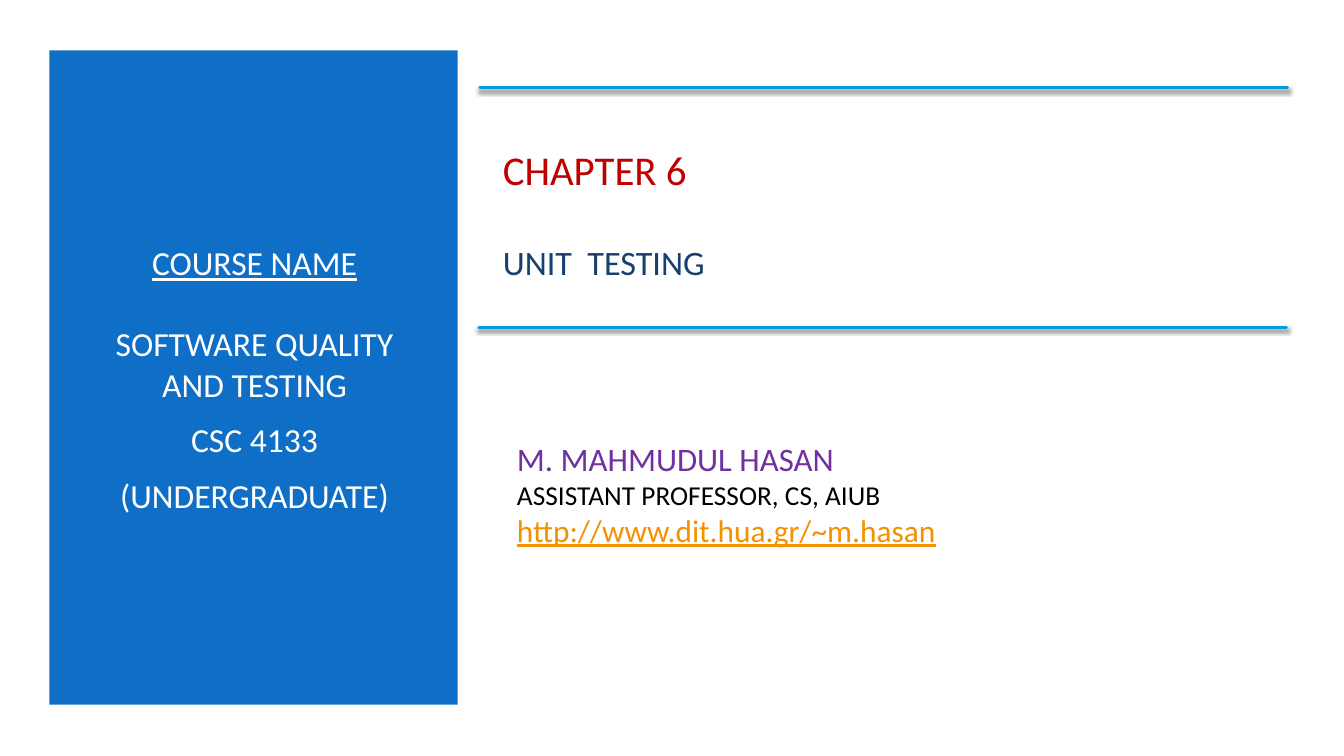
from dataclasses import dataclass

from lxml.etree import SubElement
from pptx import Presentation
from pptx.dml.color import RGBColor
from pptx.enum.shapes import MSO_CONNECTOR, MSO_SHAPE
from pptx.enum.text import MSO_ANCHOR, PP_ALIGN
from pptx.oxml.ns import qn
from pptx.util import Inches, Pt

WIDE, HIGH = Inches(13.33), Inches(7.5)
FONT = "Calibri"
WHITE, BLUE, CYAN = "FFFFFF", "0F6FC6", "009DD9"


@dataclass
class Box:
    """Left, top, width and height in percent of the slide."""
    left: float
    top: float
    width: float
    height: float = 0

    def place(self) -> tuple[int, int, int, int]:
        return (int(WIDE * self.left / 100), int(HIGH * self.top / 100),
                int(WIDE * self.width / 100), int(HIGH * self.height / 100))


@dataclass
class Line:
    text: str
    size: float
    color: str
    before: float = 0
    under: bool = False


@dataclass
class Block:
    box: Box
    lines: list[Line]
    align: PP_ALIGN = PP_ALIGN.LEFT


def paint(color: str) -> RGBColor:
    return RGBColor.from_string(color)


def add_panel(slide, box: Box, color: str) -> None:
    panel = slide.shapes.add_shape(MSO_SHAPE.RECTANGLE, *box.place())
    panel.shadow.inherit = False
    panel.fill.solid()
    panel.fill.fore_color.rgb = paint(color)
    panel.line.fill.background()


def add_block(slide, block: Block) -> None:
    frame = slide.shapes.add_textbox(*block.box.place()).text_frame
    frame.word_wrap = True
    frame.vertical_anchor = MSO_ANCHOR.MIDDLE
    frame.text = "\n".join(line.text for line in block.lines)
    for para, line in zip(frame.paragraphs, block.lines):
        para.alignment = block.align
        para.space_before = Pt(line.before)
        font = para.runs[0].font
        font.name, font.size = FONT, Pt(line.size)
        font.color.rgb = paint(line.color)
        font.underline = line.under


def add_rule(slide, box: Box) -> None:
    left, top, width, _ = box.place()
    rule = slide.shapes.add_connector(
        MSO_CONNECTOR.STRAIGHT, left, top, left + width, top)
    rule.line.color.rgb = paint(CYAN)
    rule.line.width = Pt(2)
    props = rule._element.spPr
    props.find(qn("a:ln")).set("cap", "rnd")
    # Soft shadow straight below the rule
    effect = SubElement(props, qn("a:effectLst"))
    shade = SubElement(effect, qn("a:outerShdw"), blurRad=str(Pt(3)),
                       dist=str(Pt(2)), dir="5400000", rotWithShape="0")
    tint = SubElement(shade, qn("a:srgbClr"), val="000000")
    SubElement(tint, qn("a:alpha"), val="55000")


PANEL = Box(3.68, 6.67, 30.38, 86.53)
RULES = [Box(35.71, 11.6, 60.09), Box(35.63, 43.33, 60.09)]
BLOCKS = [
    # Course
    Block(Box(6.3, 15.07, 25.28, 70), [
        Line("COURSE NAME", 24, WHITE, under=True),
        Line("SOFTWARE QUALITY AND TESTING", 24, WHITE, 29),
        Line("CSC 4133", 24, WHITE, 10.8),
        Line("(UNDERGRADUATE)", 24, WHITE, 10.8),
    ], PP_ALIGN.CENTER),
    # Chapter
    Block(Box(36.68, 14.93, 58.89, 26.67), [
        Line("CHAPTER 6", 29.2, "C00000"),
        Line("UNIT  TESTING", 24.4, "17406D", 34.4),
    ]),
    # Lecturer
    Block(Box(37.73, 54.93, 49.96, 20.8), [
        Line("M. MAHMUDUL HASAN", 23.4, "7030A0"),
        Line("ASSISTANT PROFESSOR, CS, AIUB", 19.5, "000000"),
        Line("http://www.dit.hua.gr/~m.hasan", 22.4, "F49100", under=True),
    ]),
]


def main() -> None:
    deck = Presentation()
    deck.slide_width, deck.slide_height = WIDE, HIGH
    slide = deck.slides.add_slide(deck.slide_layouts[6])
    slide.background.fill.solid()
    slide.background.fill.fore_color.rgb = paint(WHITE)
    add_panel(slide, PANEL, BLUE)
    for block in BLOCKS:
        add_block(slide, block)
    for box in RULES:
        add_rule(slide, box)
    deck.save("out.pptx")


if __name__ == "__main__":
    main()
